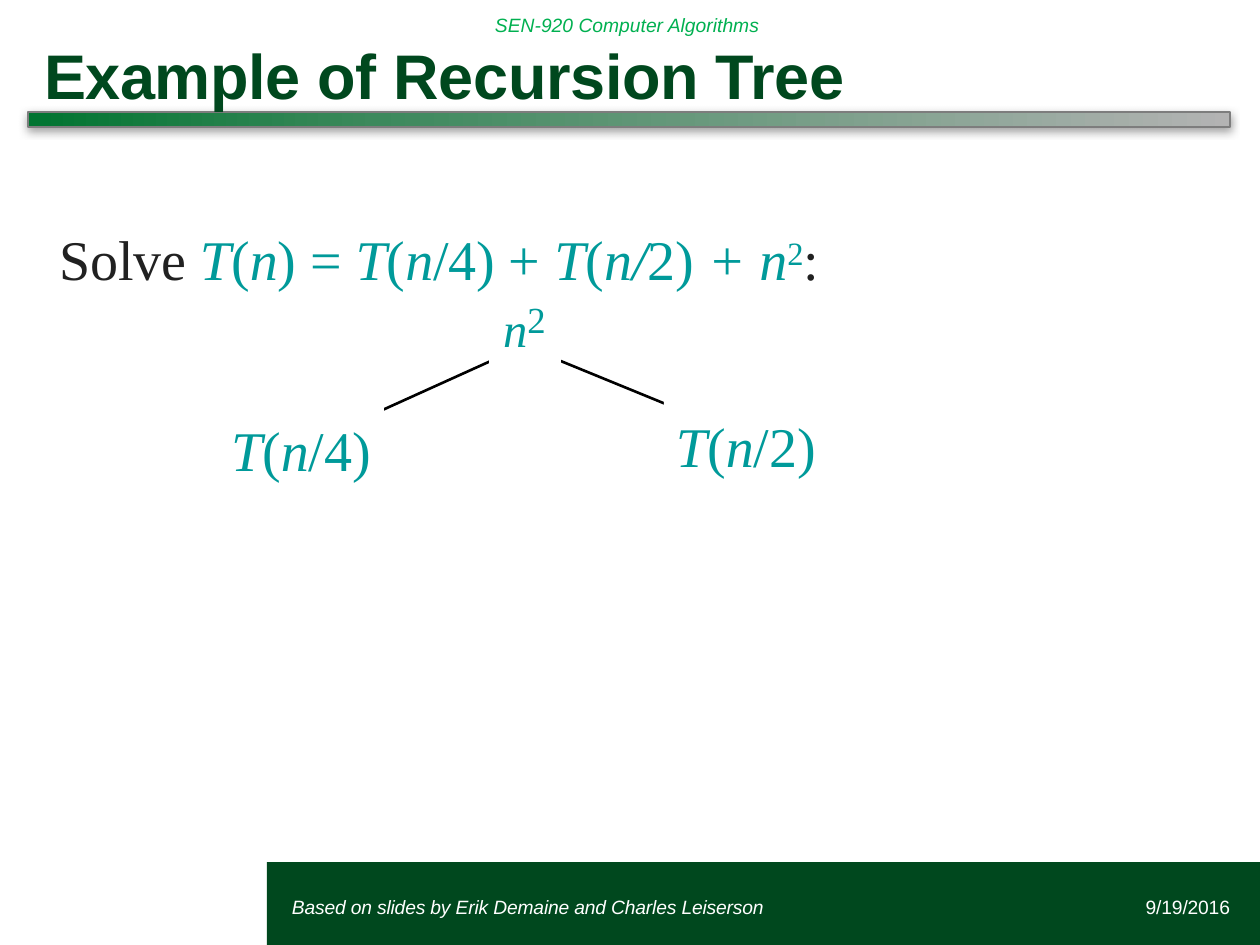
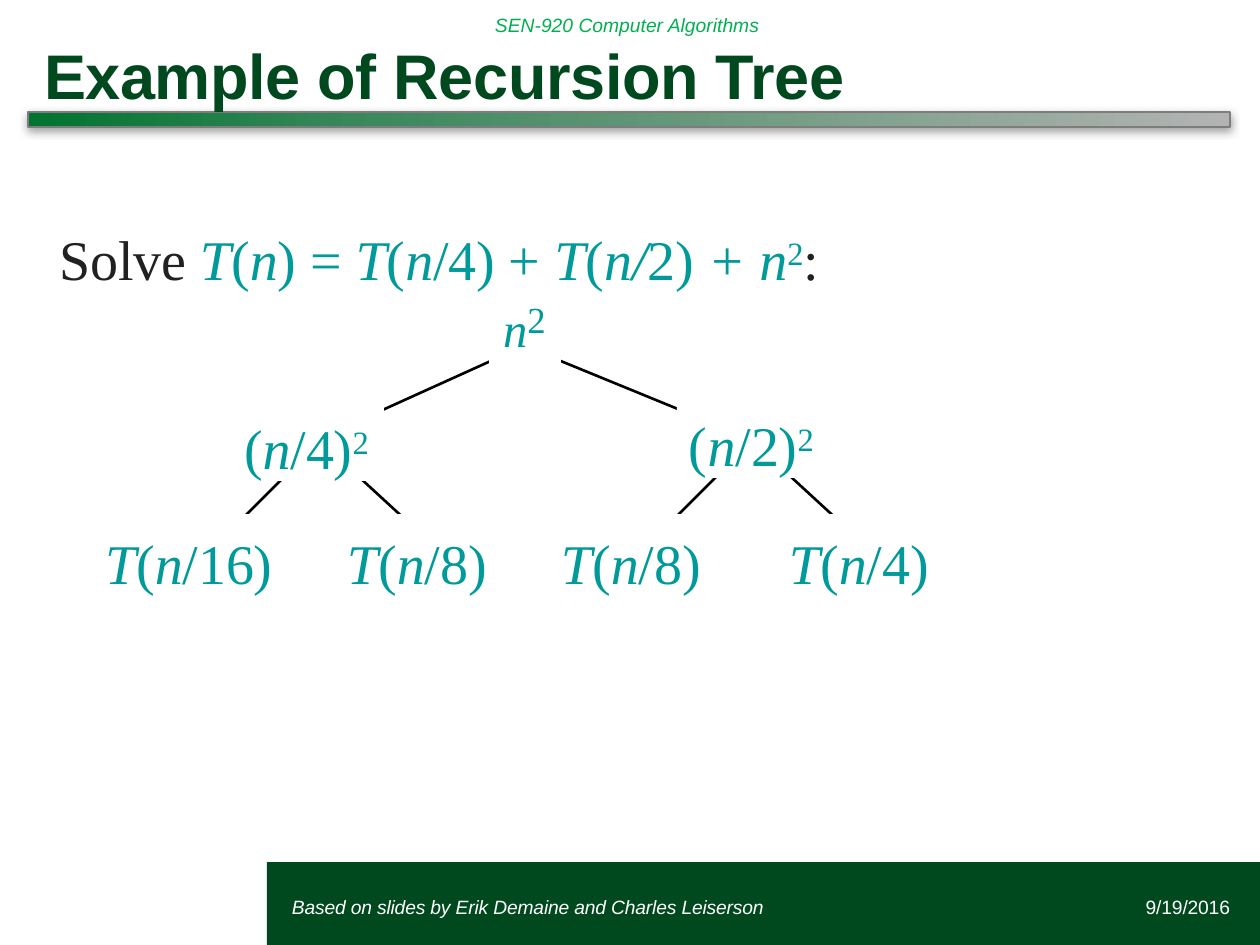
from dataclasses import dataclass
from itertools import groupby

from pptx import Presentation
from pptx.dml.color import RGBColor
from pptx.enum.shapes import MSO_CONNECTOR as Connector, MSO_SHAPE as Shape
from pptx.enum.text import MSO_ANCHOR as Anchor, PP_ALIGN as Align
from pptx.oxml import parse_xml
from pptx.oxml.ns import nsdecls
from pptx.util import Emu, Pt

PX_PER_INCH = 126
COLORS = {
    "forest": "00481E", "course": "00B050", "white": "FFFFFF",
    "black": "000000", "ink": "212121", "math": "009A9A",
    "rule_start": "007430", "rule_mid": "3C895C", "rule_end": "B3B3B3",
    "rule_edge": "7D7D7D", "shadow": "808080",
}
SANS, SERIF = "Arial", "Times New Roman"
MASK_HEIGHT = 80
LEAF_DROP = 14      # text below the top of its white mask
SQUARE_DROP = 12


@dataclass
class Span:
    text: str
    color: str = "math"
    size: int = 32
    font: str = SERIF
    bold: bool = False
    italic: bool = False
    spacing: float = -0.1
    baseline: int = 0


def px(length):
    return Emu(round(length * 914400 / PX_PER_INCH))


def rgb(name):
    return RGBColor.from_string(COLORS[name])


# Text
def add_para(frame, spans, first=True, align=Align.LEFT, indent=1, leading=None):
    para = frame.paragraphs[0] if first else frame.add_paragraph()
    para.alignment = align
    para._p.get_or_add_pPr().set("marL", str(px(indent)))
    if leading:
        para.line_spacing = Pt(leading)
    for span in spans:
        run = para.add_run()
        run.text = span.text
        font = run.font
        font.name, font.size = span.font, Pt(span.size)
        font.bold, font.italic = span.bold, span.italic
        font.color.rgb = rgb(span.color)
        props = run._r.get_or_add_rPr()
        props.set("spc", str(round(span.spacing * 100)))
        if span.baseline:
            props.set("baseline", str(span.baseline * 1000))


def add_text(page, left, top, width, height, spans, anchor=Anchor.TOP, **para_style):
    box = page.shapes.add_textbox(px(left), px(top), px(width), px(height))
    frame = box.text_frame
    frame.word_wrap = True
    frame.vertical_anchor = anchor
    frame.margin_left = frame.margin_right = 0
    frame.margin_top = frame.margin_bottom = 0
    add_para(frame, spans, **para_style)
    return frame


def formula(text):
    """Set letters in italics, everything else upright."""
    return [Span("".join(chars), italic=is_letter)
            for is_letter, chars in groupby(text, str.isalpha)]


def squared(text):
    return formula(text) + [Span("2", spacing=0, baseline=26)]


# Shapes
def add_rect(page, left, top, width, height, fill):
    rect = page.shapes.add_shape(Shape.RECTANGLE, px(left), px(top), px(width), px(height))
    rect.shadow.inherit = False
    rect.fill.solid()
    rect.fill.fore_color.rgb = rgb(fill)
    rect.line.fill.background()
    return rect


def add_gradient_rule(page):
    rule = page.shapes.add_shape(Shape.RECTANGLE, px(28), px(112), px(1202), px(15))
    rule.line.color.rgb = rgb("rule_edge")
    rule.line.width = Pt(1)
    stops = "".join(
        f'<a:gs pos="{percent * 1000}"><a:srgbClr val="{COLORS[name]}"/></a:gs>'
        for percent, name in ((0, "rule_start"), (29, "rule_mid"), (100, "rule_end")))
    props = rule._element.spPr
    props.insert(2, parse_xml(
        f'<a:gradFill {nsdecls("a")}><a:gsLst>{stops}</a:gsLst>'
        '<a:lin ang="0" scaled="0"/></a:gradFill>'))
    props.append(parse_xml(
        f'<a:effectLst {nsdecls("a")}><a:outerShdw blurRad="{Pt(5)}" dist="{Pt(2)}" '
        f'dir="5400000" rotWithShape="0"><a:srgbClr val="{COLORS["shadow"]}">'
        '<a:alpha val="75000"/></a:srgbClr></a:outerShdw></a:effectLst>'))


def add_branches(page, parent, left_child, right_child):
    for child in (left_child, right_child):
        line = page.shapes.add_connector(
            Connector.STRAIGHT, *(px(value) for value in (*parent, *child)))
        line.line.color.rgb = rgb("black")
        line.line.width = Pt(1.5)
        line._element.spPr.append(parse_xml(f'<a:effectLst {nsdecls("a")}/>'))


def add_node(page, left, top, width, spans, drop=LEAF_DROP):
    """A white mask over the branch ends, with the node's cost on it."""
    add_rect(page, left, top, width, MASK_HEIGHT, "white")
    add_text(page, left + 11, top + drop, width - 21, 68, spans)


# Parts that both slides share
def add_frame(page):
    small = {"size": 11, "font": SANS}
    add_rect(page, 267, 862, 993, 83, "forest")
    add_text(page, 495, 0, 557, 50,
             [Span("SEN-920 Computer Algorithms", "course", italic=True, spacing=0, **small)],
             anchor=Anchor.MIDDLE, indent=0)
    add_gradient_rule(page)
    add_text(page, 28, 20, 1202, 88,
             [Span("Example of Recursion Tree", "forest", 36, SANS, bold=True, spacing=-0.2)],
             indent=16, leading=52.8)
    add_text(page, 936, 882, 294, 50, [Span("9/19/2016", "white", **small)],
             anchor=Anchor.MIDDLE, align=Align.RIGHT)
    add_text(page, 291, 882, 581, 50,
             [Span("Based on slides by Erik Demaine and Charles Leiserson", "white",
                   italic=True, **small)],
             anchor=Anchor.MIDDLE)


def add_recurrence(page):
    """The recurrence to solve and the root of its tree."""
    add_branches(page, (524, 346), (314, 441), (756, 441))
    add_rect(page, 489, 294, 72, MASK_HEIGHT, "white")
    equation = [
        Span("Solve ", "ink", spacing=-0.2),
        *formula("T(n) = T(n/4) + T("), Span("n/", italic=True),
        *formula("2) "), Span("+ n", italic=True),
        Span("2", spacing=0, baseline=26), Span(":", "ink"),
    ]
    root = [Span("n", size=48, italic=True, spacing=0, baseline=-17),
            Span("2", size=21, spacing=0)]
    frame = add_text(page, 59, 226, 770, 135, equation, leading=37.6)
    add_para(frame, root, first=False, align=Align.CENTER, indent=161, leading=37.6)


def add_page(deck):
    page = deck.slides.add_slide(deck.slide_layouts[6])
    add_frame(page)
    add_recurrence(page)
    return page


def main():
    deck = Presentation()
    deck.slide_width, deck.slide_height = px(1260), px(945)

    # Slide 1: root expanded once
    page = add_page(deck)
    add_node(page, 219, 401, 165, formula("T(n/4)"))
    add_node(page, 664, 398, 165, formula("T(n/2)"))

    # Slide 2: both children expanded
    page = add_page(deck)
    for center in (320, 752):
        add_branches(page, (center, 441), (center - 116, 557), (center + 126, 557))
    add_node(page, 232, 401, 152, squared("(n/4)"), SQUARE_DROP)
    add_node(page, 677, 398, 152, squared("(n/2)"), SQUARE_DROP)
    leaves = ((93, 194, "T(n/16)"), (335, 165, "T(n/8)"),
              (549, 165, "T(n/8)"), (777, 165, "T(n/4)"))
    for left, width, cost in leaves:
        add_node(page, left, 514, width, formula(cost))

    deck.save("out.pptx")


if __name__ == "__main__":
    main()
